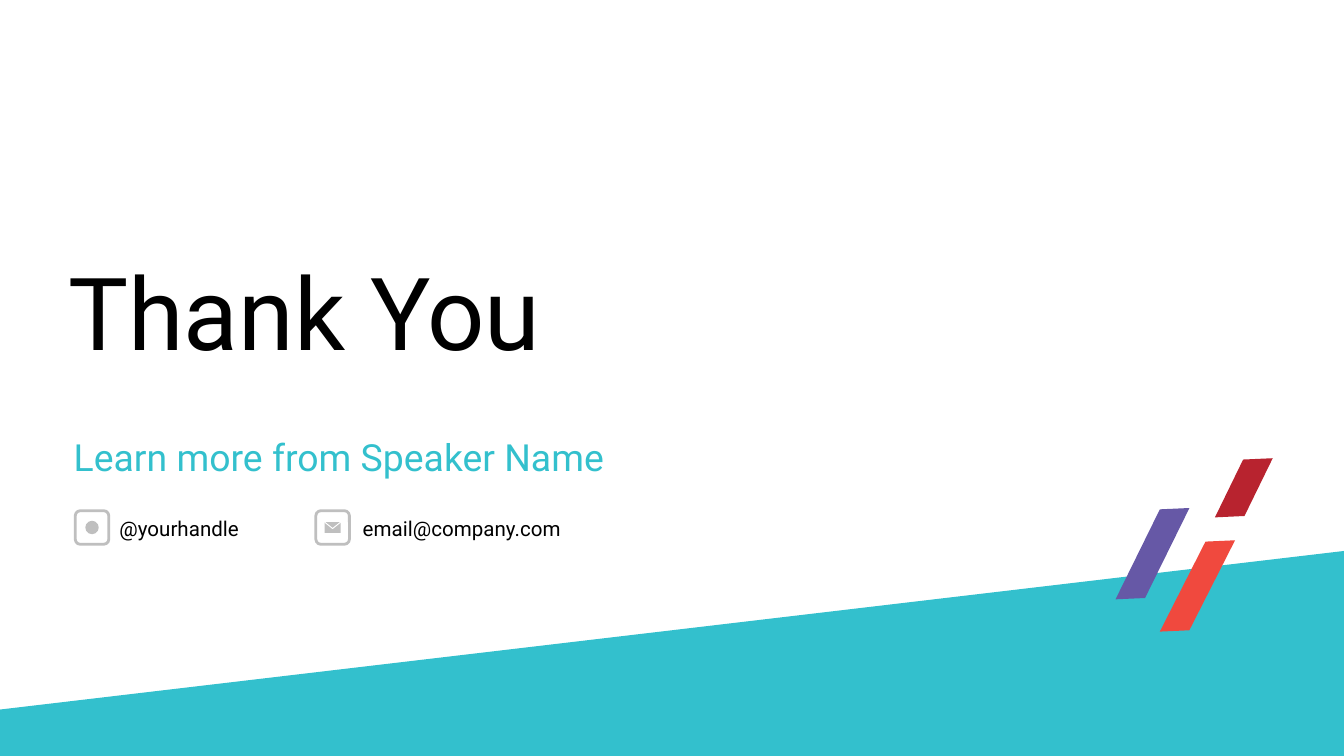
from pptx import Presentation
from pptx.dml.color import RGBColor
from pptx.enum.shapes import MSO_SHAPE as Preset
from pptx.enum.text import MSO_ANCHOR as Anchor
from pptx.util import Inches, Pt

THEME = {
    "font": "Roboto",
    "colors": {"teal": "33C0CD", "orange": "F0493E", "red": "B8232F",
               "purple": "6658A6", "gray": "BFBFBF", "black": "000000",
               "white": "FFFFFF"},
    "sizes": {"title": 54, "subtitle": 20, "contact": 11},
}
WIDTH = 10
HEIGHT = WIDTH * 9 / 16

# text, box (left, top, width, height), size, color, format values
TITLE = ("Thank You", (0.41, 2.04, 4.86, 0.77), "title", "black",
         {"line_spacing": Pt(35)})
SUBTITLE = ("Learn more from Speaker Name", (0.45, 3.18, 5.51, 0.48),
            "subtitle", "teal", {})
# text, text left, text width, icon left, icon kind
CONTACTS = [
    ("@yourhandle", 0.79, 1.61, 0.56, "dot"),
    ("email@company.com", 2.6, 2.22, 2.35, "envelope"),
]
CONTACT_TOP, CONTACT_HEIGHT = 3.79, 0.32
ICON_TOP, ICON_SIZE = 3.8, 0.25

BAND = [(0, 5.28), (WIDTH, 4.1), (WIDTH, HEIGHT), (0, HEIGHT)]
# color, lower left corner, rise to the right, height
STRIPES = [
    ("orange", (8.63, 4.7), 0.34, 0.67),
    ("red", (9.04, 3.85), 0.21, 0.43),
    ("purple", (8.3, 4.46), 0.33, 0.67),
]
STRIPE_WIDTH, STRIPE_TILT = 0.22, 0.01


def color(name):
    return RGBColor.from_string(THEME["colors"][name])


def style(shape, fill=None, line=None, line_width=1.5):
    shape.shadow.inherit = False
    if fill:
        shape.fill.solid()
        shape.fill.fore_color.rgb = color(fill)
    else:
        shape.fill.background()
    if line:
        shape.line.color.rgb = color(line)
        shape.line.width = Pt(line_width)
    else:
        shape.line.fill.background()
    return shape


def add_outline(slide, points, close=True, **look):
    corners = [(Inches(x), Inches(y)) for x, y in points]
    builder = slide.shapes.build_freeform(*corners[0])
    builder.add_line_segments(corners[1:], close=close)
    return style(builder.convert_to_shape(), **look)


def add_preset(slide, preset, box, **look):
    return style(slide.shapes.add_shape(preset, *map(Inches, box)), **look)


def add_text(slide, text, box, size, ink, formats, anchor=Anchor.TOP):
    frame = slide.shapes.add_textbox(*map(Inches, box)).text_frame
    frame.word_wrap = True
    frame.vertical_anchor = anchor
    paragraph = frame.paragraphs[0]
    for name, value in formats.items():
        setattr(paragraph, name, value)
    run = paragraph.add_run()
    run.text = text
    for name, value in {"name": THEME["font"],
                        "size": Pt(THEME["sizes"][size])}.items():
        setattr(run.font, name, value)
    run.font.color.rgb = color(ink)


def add_stripe(slide, fill, corner, rise, height):
    """Draw a slanted bar whose ends tilt slightly upward to the right."""
    x, y = corner
    points = [(x, y), (x + rise, y - height),
              (x + rise + STRIPE_WIDTH, y - height - STRIPE_TILT),
              (x + STRIPE_WIDTH, y - STRIPE_TILT)]
    add_outline(slide, points, fill=fill)


def add_icon(slide, left, kind):
    """Draw a rounded frame with a centred dot or envelope in it."""
    frame = add_preset(slide, Preset.ROUNDED_RECTANGLE,
                       (left, ICON_TOP, ICON_SIZE, ICON_SIZE), line="gray")
    frame.adjustments[0] = 0.15
    width, height = (0.12, 0.08) if kind == "envelope" else (0.1, 0.1)
    x = left + (ICON_SIZE - width) / 2
    y = ICON_TOP + (ICON_SIZE - height) / 2
    preset = Preset.RECTANGLE if kind == "envelope" else Preset.OVAL
    add_preset(slide, preset, (x, y, width, height), fill="gray")
    if kind == "envelope":
        flap = [(x, y), (x + width / 2, y + height * 0.6), (x + width, y)]
        add_outline(slide, flap, close=False, line="white", line_width=0.5)


def main():
    presentation = Presentation()
    presentation.slide_width = Inches(WIDTH)
    presentation.slide_height = Inches(HEIGHT)
    slide = presentation.slides.add_slide(presentation.slide_layouts[6])

    add_outline(slide, BAND, fill="teal")
    add_text(slide, *TITLE, anchor=Anchor.BOTTOM)
    for stripe in STRIPES:
        add_stripe(slide, *stripe)
    add_text(slide, *SUBTITLE)
    for text, left, width, icon_left, kind in CONTACTS:
        box = (left, CONTACT_TOP, width, CONTACT_HEIGHT)
        add_text(slide, text, box, "contact", "black", {})
        add_icon(slide, icon_left, kind)

    presentation.save("out.pptx")


if __name__ == "__main__":
    main()
